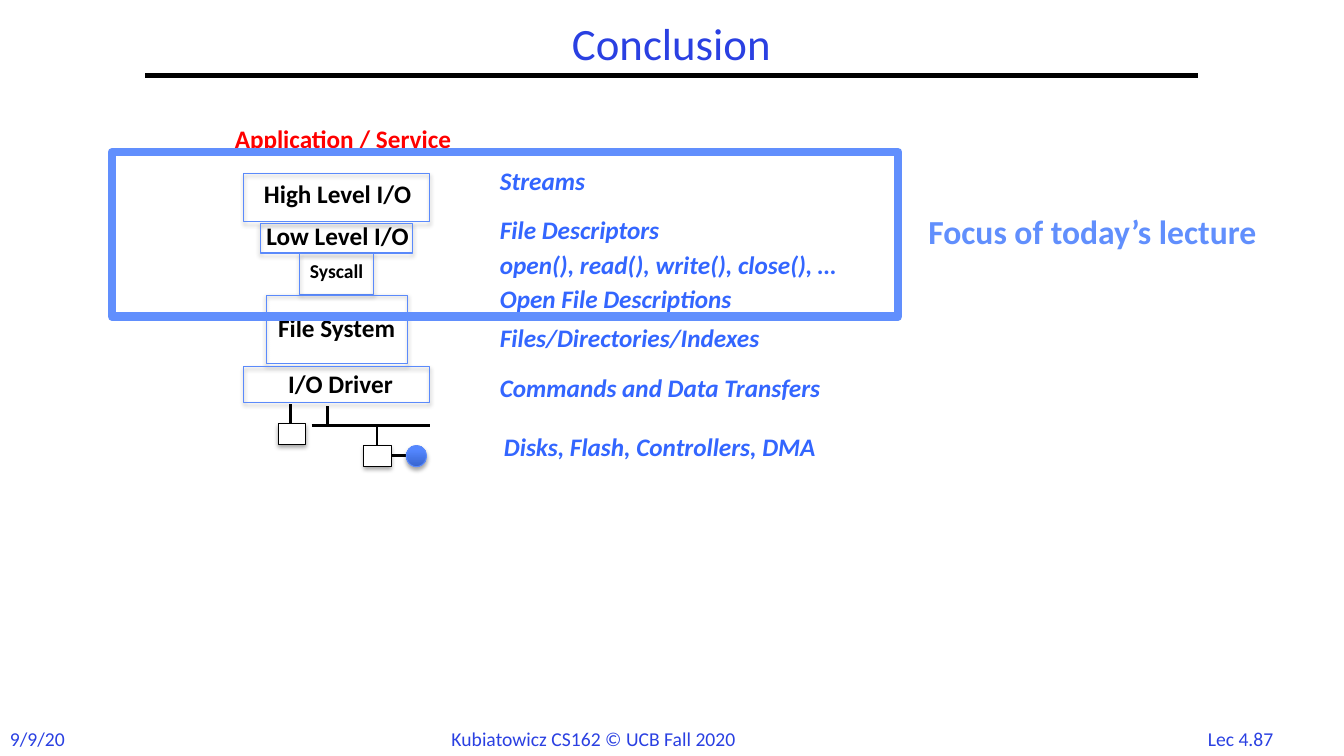
from lxml import etree
from pptx import Presentation
from pptx.dml.color import RGBColor
from pptx.enum.shapes import MSO_CONNECTOR, MSO_SHAPE as SHAPE
from pptx.enum.text import MSO_ANCHOR, MSO_AUTO_SIZE, PP_ALIGN
from pptx.oxml import parse_xml
from pptx.oxml.ns import nsdecls, qn
from pptx.util import Inches, Pt

FONT = "Calibri"
BLACK, WHITE, RED = "000000", "FFFFFF", "FF0000"
HEADING, LABEL, FOCUS, OUTLINE = "2A40E2", "3366FF", "618FFD", "5B8AFB"


def rgb(value):
    return RGBColor.from_string(value)


def add_run(p, text, size, color, bold=False, italic=False):
    r = p.add_run()
    r.text = text
    f = r.font
    f.name, f.size, f.bold, f.italic = FONT, Pt(size), bold, italic
    f.color.rgb = rgb(color)


def add_label(s, box, text, size, color, bold=True, italic=False, align=PP_ALIGN.LEFT):
    tf = s.shapes.add_textbox(*map(Inches, box)).text_frame
    tf.word_wrap = False
    tf.auto_size = MSO_AUTO_SIZE.SHAPE_TO_FIT_TEXT
    p = tf.paragraphs[0]
    p.alignment = align
    add_run(p, text, size, color, bold, italic)


def add_line(s, x1, y1, x2, y2, width=2):
    line = s.shapes.add_connector(MSO_CONNECTOR.STRAIGHT, *map(Inches, (x1, y1, x2, y2)))
    line.line.color.rgb = rgb(BLACK)
    line.line.width = Pt(width)
    etree.SubElement(line._element.spPr, qn("a:effectLst"))


def add_box(s, box, color=OUTLINE, width=0.75, fill=None, kind=SHAPE.RECTANGLE):
    sp = s.shapes.add_shape(kind, *map(Inches, box))
    sp.shadow.inherit = False
    sp.line.color.rgb = rgb(color)
    sp.line.width = Pt(width)
    if fill:
        sp.fill.solid()
        sp.fill.fore_color.rgb = rgb(fill)
    else:
        sp.fill.background()
    return sp


def add_shadow(sp):
    effects = sp._element.spPr.find(qn("a:effectLst"))
    effects.append(parse_xml(
        f'<a:outerShdw {nsdecls("a")} blurRad="{Pt(3.1)}" dist="{Pt(1.8)}" dir="5400000"'
        ' rotWithShape="0"><a:srgbClr val="000000"><a:alpha val="35000"/></a:srgbClr>'
        '</a:outerShdw>'))


def shade_disk(sp):
    stops = "".join(f'<a:gs pos="{pos}000"><a:srgbClr val="{color}"/></a:gs>'
                    for pos, color in ((0, "3764CE"), (80, "5487FF"), (100, "5688FF")))
    spPr = sp._element.spPr
    spPr.replace(spPr.find(qn("a:noFill")), parse_xml(
        f'<a:gradFill {nsdecls("a")} rotWithShape="1"><a:gsLst>{stops}</a:gsLst>'
        '<a:lin ang="16200000" scaled="0"/></a:gradFill>'))


def heading(s, x, y, w, h):
    title = s.shapes.title
    title.left, title.top, title.width, title.height = map(Inches, (x, y, w, h))
    tf = title.text_frame
    tf.vertical_anchor = MSO_ANCHOR.MIDDLE
    p = tf.paragraphs[0]
    p.alignment = PP_ALIGN.CENTER
    p.line_spacing = 0.9
    add_run(p, "Conclusion", 32, HEADING)
    add_line(s, x, y + h, x + w, y + h, 3)


def footer(s, y, h):
    for x, w, text, align in (
            (0, 0.75, "9/9/20", PP_ALIGN.LEFT),
            (4.38, 3.43, "Kubiatowicz CS162 © UCB Fall 2020", PP_ALIGN.LEFT),
            (11.82, 0.97, "Lec 4.87", PP_ALIGN.CENTER)):
        add_label(s, (x, y, w, h), text, 14, HEADING, bold=False, align=align)


def io_stack(s, x, y, w):
    add_label(s, (x - 0.19, y - 0.55, 2.68, 0.4), "Application / Service", 18, RED)
    # Layer: text, size, box top, width, height, text offset, text width
    mid = x + w / 2
    for text, size, top, bw, bh, dx, dy, tw in (
            ("High Level I/O", 18, 0, w, 0.48, 0.1, 0, 1.96),
            ("Low Level I/O", 18, 0.5, 1.51, 0.29, -0.04, -0.08, 1.9),
            ("Syscall", 14, 0.8, 0.73, 0.4, 0, 0, 0.88),
            ("File System", 18, 1.21, 1.4, 0.68, 0.02, 0.12, 1.6),
            ("I/O Driver", 18, 1.92, w, 0.35, 0.34, -0.03, 1.34)):
        left = mid - bw / 2
        add_label(s, (left + dx, y + top + dy, tw, 0.4), text, size, BLACK)
        add_shadow(add_box(s, (left, y + top, bw, bh)))


def devices(s, x, y):
    # Bus with its branches
    bus = y + 0.21
    for line in ((x + 0.33, bus, x + 1.5, bus),
                 (x + 0.49, y + 0.02, x + 0.49, bus),
                 (x + 0.98, bus, x + 0.98, bus + 0.2),
                 (x + 1.11, bus + 0.3, x + 1.27, bus + 0.3),
                 (x + 0.12, y, x + 0.12, y + 0.19)):
        add_line(s, *line)
    # Controllers and disk
    for dx, dy in ((0, 0.19), (0.85, 0.41)):
        add_shadow(add_box(s, (x + dx, y + dy, 0.27, 0.21), BLACK, fill=WHITE))
    disk = add_box(s, (x + 1.27, y + 0.41, 0.2, 0.21), kind=SHAPE.OVAL)
    shade_disk(disk)
    add_shadow(disk)


def layer_notes(s, x, y):
    for dx, dy, w, text in (
            (0, 0, 1.2, "Streams"),
            (0, 0.49, 2.11, "File Descriptors"),
            (0, 0.83, 4.06, "open(), read(), write(), close(), …"),
            (0, 1.17, 2.95, "Open File Descriptions"),
            (0, 1.56, 3.18, "Files/Directories/Indexes"),
            (0, 2.05, 3.93, "Commands and Data Transfers"),
            (0.04, 2.64, 3.88, "Disks, Flash, Controllers, DMA")):
        add_label(s, (x + dx, y + dy, w, 0.4), text, 18, LABEL, italic=True)


def focus_frame(s, x, y, w, h):
    add_box(s, (x, y, w, h), FOCUS, 6)
    add_label(s, (x + w + 0.2, y + 0.53, 4.06, 0.5), "Focus of today’s lecture", 24, FOCUS)


def main():
    prs = Presentation()
    prs.slide_width, prs.slide_height = Inches(13.33), Inches(7.5)
    s = prs.slides.add_slide(prs.slide_layouts[5])
    heading(s, 1.44, 0.17, 10.44, 0.58)
    footer(s, 7.16, 0.34)
    io_stack(s, 2.42, 1.72, 1.84)
    devices(s, 2.76, 4.01)
    layer_notes(s, 4.86, 1.59)
    focus_frame(s, 1.11, 1.51, 7.8, 1.63)
    prs.save("out.pptx")


if __name__ == "__main__":
    main()
